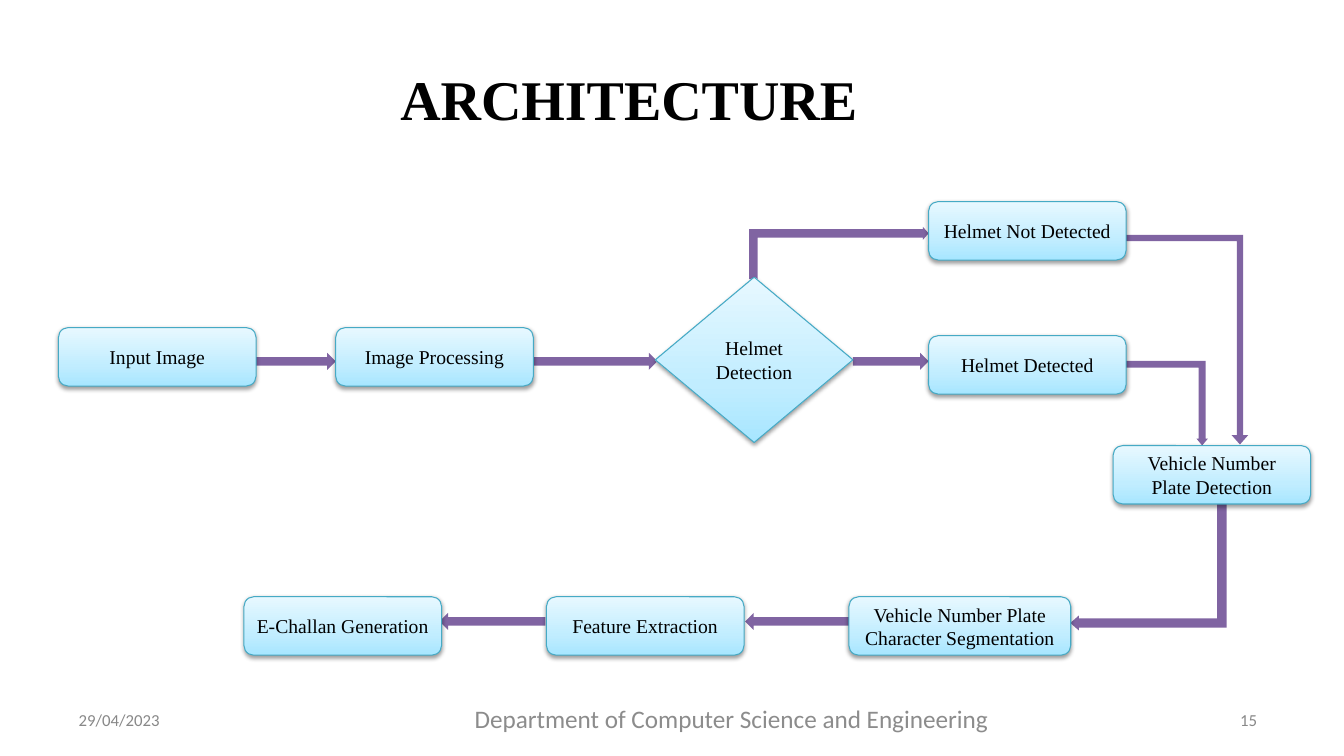
from pptx import Presentation
from pptx import util as u
from pptx.dml.color import RGBColor
from pptx.enum import shapes, text
from pptx.oxml import parse_xml
from pptx.oxml.ns import nsdecls, qn

PX = 9144  # EMU; 100 px to the inch
BOX_WIDTH, BOX_HEIGHT = 196, 58
SHAPE = shapes.MSO_SHAPE


def color(value):
    return RGBColor.from_string(value)


class FlowSlide:
    serif, sans = "Times New Roman", "Calibri"
    ink, gray = "000000", "888888"
    arrow_fill, outline = "8064A2", "46AAC5"
    gradient = ((0, "A7E6FF"), (35, "C1EDFF"), (100, "E7F8FF"))

    def __init__(self, presentation):
        self.slide = presentation.slides.add_slide(presentation.slide_layouts[6])

    def set_text(self, frame, words, size, font, ink, bold=False):
        frame.word_wrap = True
        paragraph = frame.paragraphs[0]
        paragraph.text = words
        paragraph.font.size = u.Pt(size)
        paragraph.font.name = font
        paragraph.font.bold = bold
        paragraph.font.color.rgb = color(ink)
        return paragraph

    def label(self, words, left, top, width, height, size, font, ink, bold=False):
        """Add a text box without margins and return its paragraph."""
        box = self.slide.shapes.add_textbox(*(v * PX for v in (left, top, width, height)))
        frame = box.text_frame
        frame.margin_left = frame.margin_right = 0
        frame.margin_top = frame.margin_bottom = 0
        return self.set_text(frame, words, size, font, ink, bold)

    def preset(self, kind, left, top, width, height):
        shape = self.slide.shapes.add_shape(
            kind, *(v * PX for v in (left, top, width, height)))
        shape.shadow.inherit = False
        return shape

    def arrow(self, kind, left, top, width, height=17):
        shape = self.preset(kind, left, top, width, height)
        shape.fill.solid()
        shape.fill.fore_color.rgb = color(self.arrow_fill)
        shape.line.fill.background()
        return shape

    def bent_arrow(self, left, top, width, height, rotation, adjustments):
        """Add an elbow arrow, flipped vertically and then rotated."""
        shape = self.arrow(SHAPE.BENT_UP_ARROW, left, top, width, height)
        shape.rotation = rotation
        for index, value in enumerate(adjustments):
            shape.adjustments[index] = value
        shape._element.spPr.find(qn("a:xfrm")).set("flipV", "1")

    def step(self, words, left, top, width=BOX_WIDTH, height=BOX_HEIGHT,
             kind=SHAPE.ROUNDED_RECTANGLE):
        shape = self.preset(kind, left, top, width, height)
        shape.line.color.rgb = color(self.outline)
        shape.line.width = u.Pt(0.75)
        self.shade(shape)
        shape.text_frame.vertical_anchor = text.MSO_ANCHOR.MIDDLE
        paragraph = self.set_text(shape.text_frame, words, 14, self.serif, self.ink)
        paragraph.alignment = text.PP_ALIGN.CENTER

    def shade(self, shape):
        """Give the shape the three-stop gradient and a soft shadow below."""
        stops = "".join(
            f'<a:gs pos="{position * 1000}"><a:srgbClr val="{value}"/></a:gs>'
            for position, value in self.gradient)
        properties = shape._element.spPr
        shape.fill.background()
        properties.replace(properties.find(qn("a:noFill")), parse_xml(
            f'<a:gradFill {nsdecls("a")} rotWithShape="1"><a:gsLst>{stops}</a:gsLst>'
            '<a:lin ang="16200000" scaled="0"/></a:gradFill>'))
        properties.find(qn("a:effectLst")).append(parse_xml(
            f'<a:outerShdw {nsdecls("a")} blurRad="40000" dist="20000" dir="5400000" '
            'rotWithShape="0"><a:srgbClr val="000000"><a:alpha val="38000"/>'
            '</a:srgbClr></a:outerShdw>'))


def main():
    presentation = Presentation()
    presentation.slide_width = u.Inches(13.33)
    presentation.slide_height = u.Inches(7.5)
    flow = FlowSlide(presentation)

    title = flow.label("ARCHITECTURE", 397, 64, 541, 69, 40, flow.serif, flow.ink, True)
    title.space_before = u.Pt(1)

    for left, width in ((250, 83), (525, 127), (846, 75)):
        flow.arrow(SHAPE.RIGHT_ARROW, left, 350, width)
    for left, width in ((739, 111), (436, 105)):
        flow.arrow(SHAPE.LEFT_ARROW, left, 608, width)

    for bend in (
        (1052, 358, 146, 84, 0, (0.081, 0.067, 0.081)),
        (1076, 485, 126, 155, 90, (0.074, 0.059, 0.068)),
        (806, 162, 52, 178, 270, (0.159, 0.125, 0.11)),
        (1117, 233, 121, 208, 0, (0.051, 0.068, 0.077)),
    ):
        flow.bent_arrow(*bend)

    for words, left, top in (
        ("Input Image", 58, 325),
        ("Image Processing", 333, 325),
        ("Helmet Not Detected", 921, 200),
        ("Helmet Detected", 921, 333),
        ("Vehicle Number Plate Detection", 1104, 442),
        ("Feature Extraction", 542, 592),
        ("E-Challan Generation", 242, 592),
    ):
        flow.step(words, left, top)
    flow.step("Vehicle Number Plate Character Segmentation", 842, 592, width=220)
    flow.step("Helmet Detection", 650, 275, height=164, kind=SHAPE.FLOWCHART_DECISION)

    for words, left, width in (("29/04/2023", 78, 110), ("15", 1230, 30)):
        footer = flow.label(words, left, 707, width, 17, 12, flow.sans, flow.gray)
        footer.line_spacing = u.Pt(12.4)
    department = flow.label("Department of Computer Science and Engineering",
                            433, 698, 585, 61, 18, flow.sans, "8C8C8C")
    department.alignment = text.PP_ALIGN.CENTER

    presentation.save("out.pptx")


if __name__ == "__main__":
    main()
